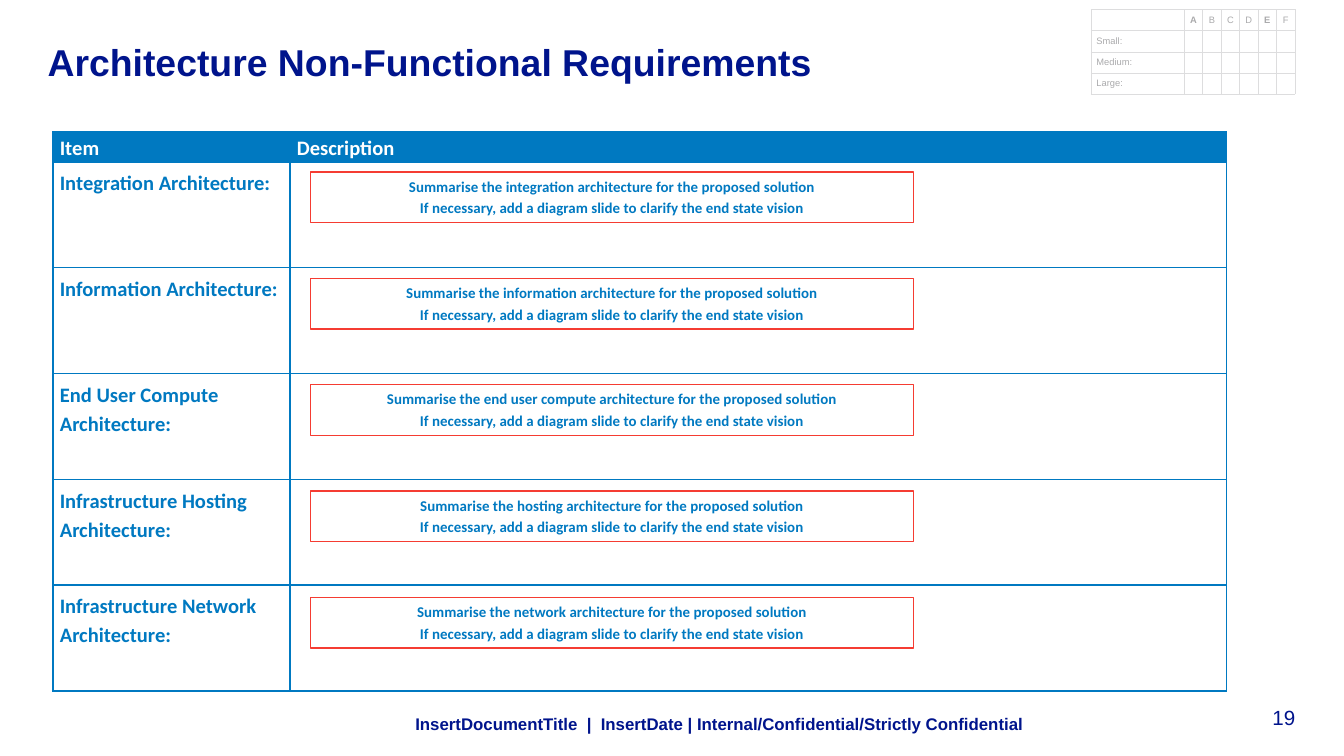
from lxml import etree
from pptx import Presentation
from pptx.dml.color import RGBColor
from pptx.enum.shapes import MSO_SHAPE
from pptx.enum.text import MSO_ANCHOR as Anchor, PP_ALIGN as Align
from pptx.oxml.ns import qn
from pptx.util import Cm, Pt

NAVY, BLUE, RED = "00148C", "0079C1", "F53C32"
WHITE, GREY, PALE = "FFFFFF", "AAAAAC", "DDDDDE"

TITLE = "Architecture Non-Functional Requirements"
FOOTER = "InsertDocumentTitle  |  InsertDate | Internal/Confidential/Strictly Confidential"
PAGE_NUMBER = "19"
GRADES = ["A", "B", "C", "D", "E", "F"]
BOLD_GRADES = {"A", "E"}
SIZES = ["Small:", "Medium:", "Large:"]
HEADINGS = ["Item", "Description"]
REQUIREMENTS = [
    ("Integration Architecture:", "integration"),
    ("Information Architecture:", "information"),
    ("End User Compute Architecture:", "end user compute"),
    ("Infrastructure Hosting Architecture:", "hosting"),
    ("Infrastructure Network Architecture:", "network"),
]
GUIDANCE = [
    "Summarise the {} architecture for the proposed solution",
    "If necessary, add a diagram slide to clarify the end state vision",
]


def rgb(value):
    return RGBColor.from_string(value)


def style(paragraph, size, color, bold=False, font="Arial", align=Align.LEFT):
    paragraph.alignment = align
    paragraph.font.size = Pt(size)
    paragraph.font.name = font
    paragraph.font.bold = bold
    paragraph.font.color.rgb = rgb(color)


def set_margins(target, horizontal, vertical):
    target.margin_left = target.margin_right = Cm(horizontal)
    target.margin_top = target.margin_bottom = Cm(vertical)


def add_text(slide, place, text, size, bold, anchor, margins=(0, 0), align=Align.LEFT):
    frame = slide.shapes.add_textbox(*map(Cm, place)).text_frame
    frame.word_wrap = True
    frame.vertical_anchor = anchor
    set_margins(frame, *margins)
    frame.text = text
    style(frame.paragraphs[0], size, NAVY, bold, align=align)


def set_borders(cell, color, width):
    properties = cell._tc.get_or_add_tcPr()
    for side in ("lnL", "lnR", "lnT", "lnB"):
        line = etree.SubElement(properties, qn(f"a:{side}"), w=str(Pt(width)))
        fill = etree.SubElement(line, qn("a:solidFill"))
        etree.SubElement(fill, qn("a:srgbClr"), val=color)


def add_grid(slide, left, top, widths, heights):
    table = slide.shapes.add_table(
        len(heights), len(widths), Cm(left), Cm(top), Cm(sum(widths)), Cm(sum(heights))
    ).table
    table.first_row = table.horz_banding = False
    for column, width in zip(table.columns, widths):
        column.width = Cm(width)
    for row, height in zip(table.rows, heights):
        row.height = Cm(height)
    return table


def add_size_table(slide):
    table = add_grid(slide, 20.62, 0.18, [1.76] + [0.35] * 6, [0.4] * 4)
    rows = [[""] + GRADES] + [[size] + [""] * len(GRADES) for size in SIZES]
    for r, row in enumerate(rows):
        for c, text in enumerate(row):
            cell = table.cell(r, c)
            set_borders(cell, PALE, 0.25)
            cell.fill.background()
            set_margins(cell, 0.1, 0)
            cell.vertical_anchor = Anchor.MIDDLE
            cell.text = text
            align = Align.CENTER if c else Align.LEFT
            style(cell.text_frame.paragraphs[0], 5, GREY, text in BOLD_GRADES, align=align)


def add_requirement_table(slide):
    table = add_grid(slide, 1, 2.5, [4.48, 17.7], [0.56] + [2] * len(REQUIREMENTS))
    rows = [HEADINGS] + [[item, ""] for item, _ in REQUIREMENTS]
    for r, row in enumerate(rows):
        for c, text in enumerate(row):
            cell = table.cell(r, c)
            set_borders(cell, BLUE, 1)
            if r:
                cell.fill.background()
            else:
                cell.fill.solid()
                cell.fill.fore_color.rgb = rgb(BLUE)
            set_margins(cell, 0.13, 0.1 if r else 0)
            cell.text = text
            paragraph = cell.text_frame.paragraphs[0]
            paragraph.line_spacing = 1.15
            style(paragraph, 11, BLUE if r else WHITE, True, "Calibri")


def add_guidance(slide, index, subject):
    box = slide.shapes.add_shape(
        MSO_SHAPE.RECTANGLE, Cm(5.87), Cm(3.25 + 2.01 * index), Cm(11.4), Cm(0.96)
    )
    box.shadow.inherit = False
    box.fill.background()
    box.line.color.rgb = rgb(RED)
    box.line.width = Pt(0.75)
    frame = box.text_frame
    frame.word_wrap = True
    frame.vertical_anchor = Anchor.TOP
    set_margins(frame, 0.1, 0.1)
    frame.text = "\n".join(GUIDANCE).format(subject)
    for paragraph in frame.paragraphs:
        paragraph.space_after = Pt(2)
        style(paragraph, 8, BLUE, True, "Calibri", Align.CENTER)


def main():
    presentation = Presentation()
    presentation.slide_width, presentation.slide_height = Cm(25.4), Cm(14.29)
    slide = presentation.slides.add_slide(presentation.slide_layouts[6])
    add_text(slide, (23.01, 13.31, 1.47, 0.48), PAGE_NUMBER, 11, False, Anchor.BOTTOM, align=Align.RIGHT)
    add_size_table(slide)
    add_text(slide, (0.9, 0.74, 17.98, 1.19), TITLE, 20, True, Anchor.TOP)
    add_requirement_table(slide)
    add_text(slide, (7.6, 13.35, 16.08, 0.66), FOOTER, 9, True, Anchor.MIDDLE, (0.25, 0.13))
    for index, (_, subject) in enumerate(REQUIREMENTS):
        add_guidance(slide, index, subject)
    presentation.save("out.pptx")


if __name__ == "__main__":
    main()
